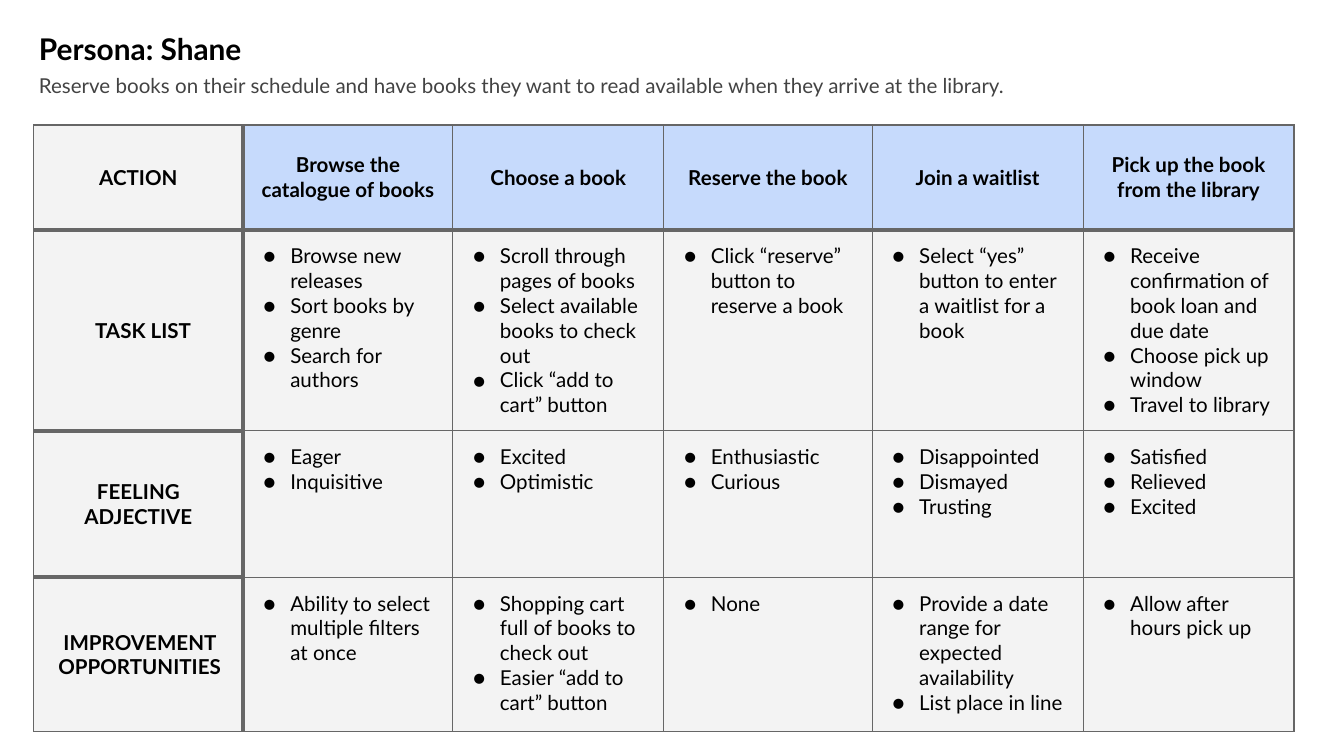
from lxml import etree
from pptx import Presentation
from pptx import util as u
from pptx.dml.color import RGBColor
from pptx.enum import text
from pptx.oxml.ns import qn

FONT = "Lato"
BLACK, GREY, LINE = "000000", "434343", "666666"
PALE, BLUE = "F3F3F3", "C6DAFC"
THIN, THICK = 0.75, 2.25
COLUMN_WIDTHS = [1.56, 1.56, 1.57, 1.55, 1.57, 1.57]
ROW_HEIGHTS = [0.78, 1.44, 1.09, 1.15]

STEPS = ["ACTION", "Browse the catalogue of books", "Choose a book",
         "Reserve the book", "Join a waitlist", "Pick up the book from the library"]
JOURNEY = [
    ("TASK LIST", [
        ["Browse new releases", "Sort books by genre", "Search for authors"],
        ["Scroll through pages of books", "Select available books to check out",
         "Click “add to cart” button"],
        ["Click “reserve” button to reserve a book"],
        ["Select “yes” button to enter a waitlist for a book"],
        ["Receive confirmation of book loan and due date",
         "Choose pick up window", "Travel to library"]]),
    ("FEELING ADJECTIVE", [
        ["Eager", "Inquisitive"],
        ["Excited", "Optimistic"],
        ["Enthusiastic", "Curious"],
        ["Disappointed", "Dismayed", "Trusting"],
        ["Satisfied", "Relieved", "Excited"]]),
    ("IMPROVEMENT OPPORTUNITIES", [
        ["Ability to select multiple filters at once"],
        ["Shopping cart full of books to check out", "Easier “add to cart” button"],
        ["None"],
        ["Provide a date range for expected availability", "List place in line"],
        ["Allow after hours pick up"]]),
]


def color(value):
    return RGBColor.from_string(value)


def add_run(paragraph, words, size=11, shade=BLACK, bold=False):
    run = paragraph.add_run()
    run.text = words
    run.font.name = FONT
    run.font.size = u.Pt(size)
    run.font.bold = bold
    run.font.color.rgb = color(shade)


def set_indent(paragraph, margin, first_line):
    properties = paragraph._p.get_or_add_pPr()
    properties.set("marL", str(u.Inches(margin)))
    properties.set("indent", str(u.Inches(first_line)))
    return properties


def add_bullet(paragraph):
    properties = set_indent(paragraph, 0.25, -0.2)
    bullet_color = etree.SubElement(properties, qn("a:buClr"))
    etree.SubElement(bullet_color, qn("a:srgbClr"), val=BLACK)
    etree.SubElement(properties, qn("a:buFont"), typeface=FONT)
    etree.SubElement(properties, qn("a:buChar"), char="●")


def place_text(shape, box, words, size, shade, bold=False):
    shape.left, shape.top, shape.width, shape.height = map(u.Inches, box)
    frame = shape.text_frame
    frame.word_wrap = True
    frame.auto_size = text.MSO_AUTO_SIZE.NONE
    frame.vertical_anchor = text.MSO_ANCHOR.TOP
    frame.margin_left = frame.margin_right = u.Inches(0.1)
    frame.margin_top = frame.margin_bottom = u.Inches(0.1)
    paragraph = frame.paragraphs[0]
    paragraph.alignment = text.PP_ALIGN.LEFT
    add_run(paragraph, words, size, shade, bold)


def set_borders(cell, left, right, top, bottom):
    properties = cell._tc.get_or_add_tcPr()
    for side, width in zip("LRTB", (left, right, top, bottom)):
        line = etree.SubElement(properties, qn(f"a:ln{side}"), w=str(u.Pt(width)))
        fill = etree.SubElement(line, qn("a:solidFill"))
        etree.SubElement(fill, qn("a:srgbClr"), val=LINE)
        etree.SubElement(line, qn("a:prstDash"), val="solid")


def style_cell(cell, row, column):
    last_row = len(ROW_HEIGHTS) - 1
    set_borders(
        cell,
        left=THICK if column == 1 else THIN,
        right=THICK if column == 0 else THIN,
        top=THICK if row == 1 or (column == 0 and row > 0) else THIN,
        bottom=THICK if row == 0 or (column == 0 and row < last_row) else THIN)
    cell.fill.solid()
    cell.fill.fore_color.rgb = color(BLUE if row == 0 and column > 0 else PALE)
    cell.margin_left = cell.margin_right = u.Inches(0.1)
    cell.margin_top = cell.margin_bottom = u.Inches(0.1)


def fill_heading(cell, words):
    cell.vertical_anchor = text.MSO_ANCHOR.MIDDLE
    paragraph = cell.text_frame.paragraphs[0]
    paragraph.alignment = text.PP_ALIGN.CENTER
    add_run(paragraph, words, bold=True)


def fill_list(cell, items):
    cell.vertical_anchor = text.MSO_ANCHOR.TOP
    frame = cell.text_frame
    for index, item in enumerate(items):
        paragraph = frame.add_paragraph() if index else frame.paragraphs[0]
        add_bullet(paragraph)
        add_run(paragraph, item)


def add_journey_table(slide):
    frame = slide.shapes.add_table(
        len(ROW_HEIGHTS), len(COLUMN_WIDTHS), u.Inches(0.25), u.Inches(0.93),
        u.Inches(sum(COLUMN_WIDTHS)), u.Inches(sum(ROW_HEIGHTS)))
    table = frame.table
    table.first_row = table.horz_banding = False
    for column, width in zip(table.columns, COLUMN_WIDTHS):
        column.width = u.Inches(width)
    for row, height in zip(table.rows, ROW_HEIGHTS):
        row.height = u.Inches(height)
    rows = [STEPS] + [[heading, *lists] for heading, lists in JOURNEY]
    for row, contents in enumerate(rows):
        for column, content in enumerate(contents):
            cell = table.cell(row, column)
            style_cell(cell, row, column)
            if isinstance(content, str):
                fill_heading(cell, content)
            else:
                fill_list(cell, content)
    set_indent(table.cell(1, 0).text_frame.paragraphs[0], 0.19, -0.12)
    table.cell(3, 0).margin_left = u.Inches(0.12)


def main():
    presentation = Presentation()
    presentation.slide_width = u.Inches(10)
    presentation.slide_height = u.Inches(10 * 9 / 16)
    slide = presentation.slides.add_slide(presentation.slide_layouts[5])
    place_text(slide.shapes.title, (0.19, 0.13, 1.95, 0.44),
               "Persona: Shane", 16, BLACK, bold=True)
    subtitle_box = (0.19, 0.44, 9.28, 0.3)
    subtitle = slide.shapes.add_textbox(*map(u.Inches, subtitle_box))
    place_text(subtitle, subtitle_box,
               "Reserve books on their schedule and have books they want to read "
               "available when they arrive at the library.", 11, GREY)
    add_journey_table(slide)
    presentation.save("out.pptx")


main()
